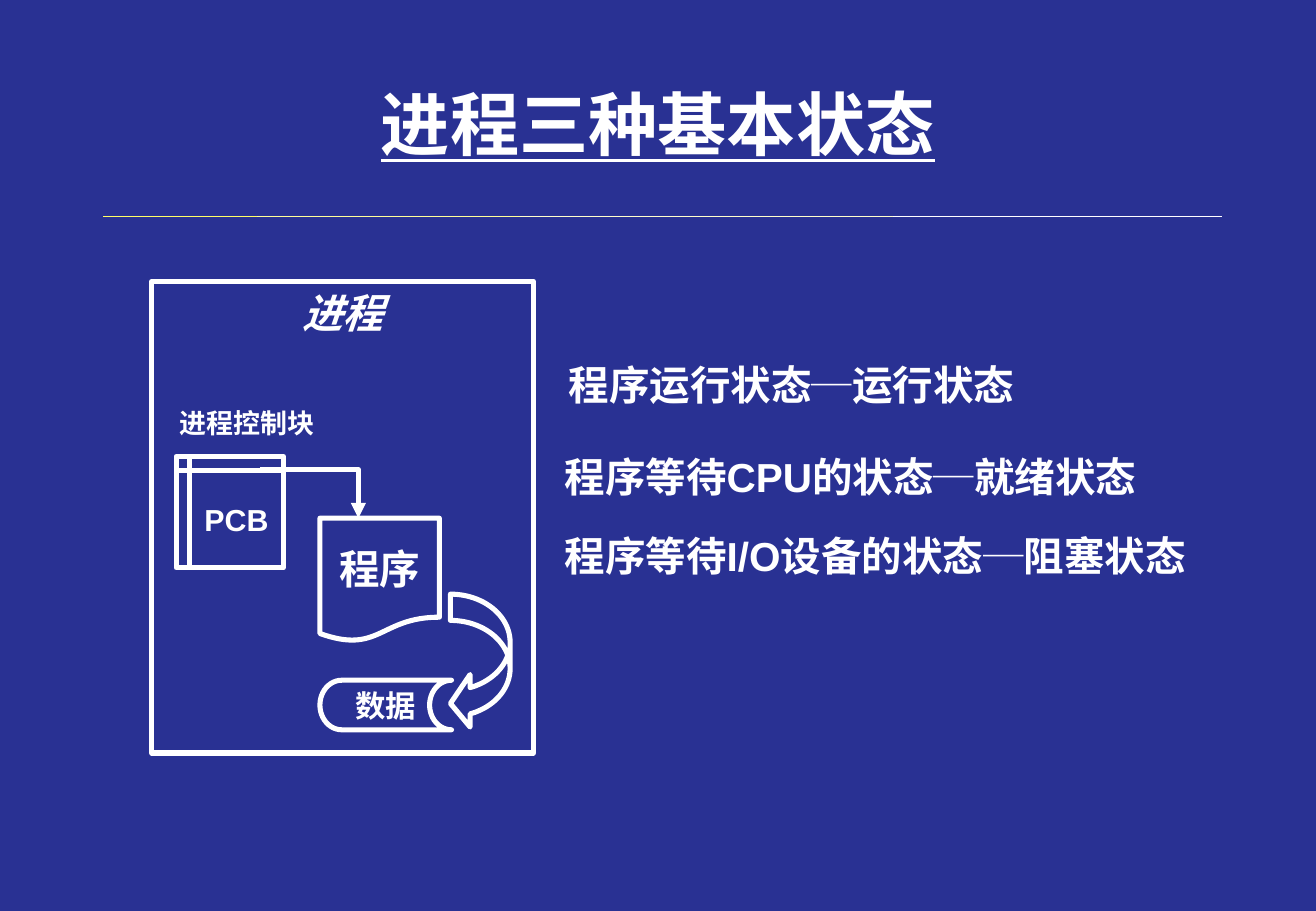
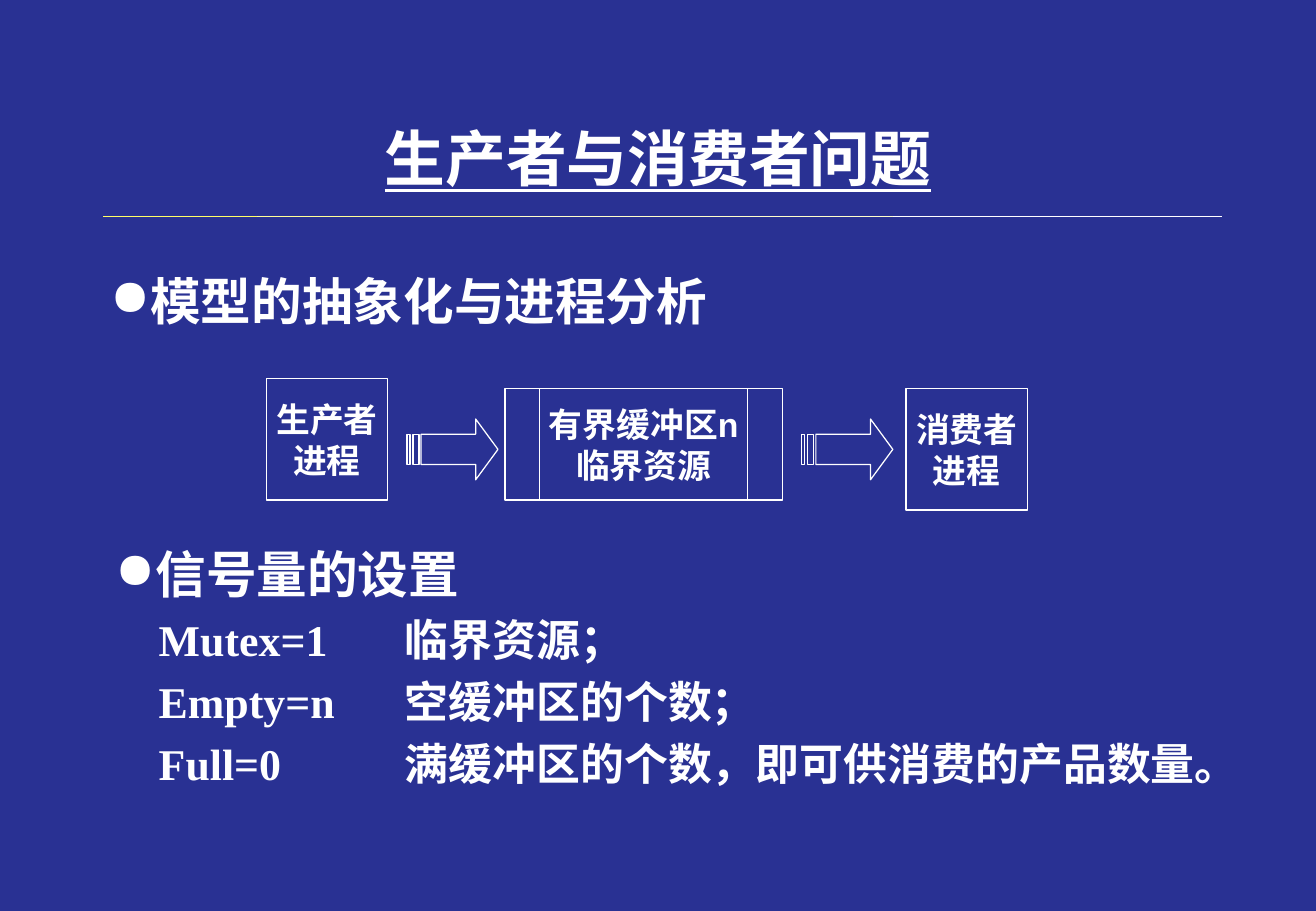
from lxml import etree
from pptx import Presentation
from pptx.dml.color import RGBColor
from pptx.enum.shapes import MSO_CONNECTOR, MSO_SHAPE as SHAPE
from pptx.enum.text import MSO_ANCHOR as ANCHOR, MSO_AUTO_SIZE, PP_ALIGN as ALIGN
from pptx.oxml.ns import qn
from pptx.util import Emu, Inches, Pt

COLORS = {
    "background": "293193",
    "white": "FFFFFF",
    "cream": "FFFFCC",
    "pale": "FFFF99",
    "yellow": "FFFF66",
}
RGB = {name: RGBColor.from_string(value) for name, value in COLORS.items()}
TITLE_FONT = "Noto Sans CJK JP"
COLUMNS, ROWS = 130, 90

presentation = Presentation()
presentation.slide_width = Inches(10.83)
presentation.slide_height = Inches(7.5)
column = presentation.slide_width / COLUMNS
row = presentation.slide_height / ROWS


def grid(*values):
    return [Emu(round(value * (row if index % 2 else column))) for index, value in enumerate(values)]


def add_block(slide, kind, frame, lines=(), size=24, line_width=3, anchor=ANCHOR.MIDDLE,
              align=ALIGN.CENTER, font="Arial", spacing=1.21, before=0):
    if kind is None:
        shape = slide.shapes.add_textbox(*grid(*frame))
    else:
        shape = slide.shapes.add_shape(kind, *grid(*frame))
        shape.shadow.inherit = False
        shape.fill.background()
        shape.line.color.rgb = RGB["white"]
        shape.line.width = Pt(line_width)
    text_frame = shape.text_frame
    text_frame.word_wrap = kind is None
    text_frame.vertical_anchor = anchor
    text_frame.text = "\n".join(lines)
    for index, paragraph in enumerate(text_frame.paragraphs):
        paragraph.alignment = align
        paragraph.line_spacing = Pt(round(size * spacing, 1))
        paragraph.space_before = Pt(size * before if index else 0)
        paragraph.font.name = font
        paragraph.font.size = Pt(size)
        paragraph.font.bold = True
        paragraph.font.color.rgb = RGB["white"]
    return shape


presentation.slide_master.background.fill.solid()
presentation.slide_master.background.fill.fore_color.rgb = RGB["background"]
layout = presentation.slide_layouts[5]

slides = []
for title, size, frame in [
    ("进程三种基本状态", 41, (9.7, 6.6, 110.6, 11)),
    ("生产者与消费者问题", 36, (9.7, 8, 110.6, 15)),
]:
    slide = presentation.slides.add_slide(layout)
    placeholder = slide.shapes.title
    placeholder.left, placeholder.top, placeholder.width, placeholder.height = grid(*frame)
    text_frame = placeholder.text_frame
    text_frame.text = title
    text_frame.auto_size = MSO_AUTO_SIZE.NONE
    text_frame.vertical_anchor = ANCHOR.MIDDLE
    paragraph = text_frame.paragraphs[0]
    paragraph.alignment = ALIGN.CENTER
    run = paragraph.runs[0]
    run.font.name = TITLE_FONT
    run.font.size = Pt(size)
    run.font.bold = run.font.underline = True
    run.font.color.rgb = RGB["white"]
    etree.SubElement(run.font._element, qn("a:ea"), typeface=TITLE_FONT)
    slides.append(slide)
states_slide, buffer_slide = slides

rule_segments = [(114.2, 6.5, "white")]
for index, color in enumerate(["white", "white", "cream", "cream", "cream"]):
    rule_segments.append((101.2 - 13 * index, 13, color))
for index, color in enumerate(["pale", "pale", "pale", "pale", "yellow"]):
    rule_segments.append((40.6 - 6.5 * index, 10.8, color))
rule_segments.append((10.2, 8.7, "yellow"))
for left, width, color in rule_segments:
    segment = states_slide.shapes.add_connector(
        MSO_CONNECTOR.STRAIGHT, *grid(left, 21.4, left + width, 21.4))
    segment.line.color.rgb = RGB[color]
    segment.line.width = Pt(0.75)
    etree.SubElement(segment.element.spPr, qn("a:effectLst"))
    layout.shapes.element.append(segment.element)

for kind, frame, text, size in [
    (SHAPE.FLOWCHART_DOCUMENT, (31.6, 51.2, 11.8, 12.2), "程序", 24),
    (SHAPE.FLOWCHART_INTERNAL_STORAGE, (17.4, 45.1, 10.6, 11), "PCB", 18),
    (SHAPE.FLOWCHART_STORED_DATA, (31.6, 67.2, 13, 4.9), "数据", 18),
]:
    add_block(states_slide, kind, frame, [text], size)

label = add_block(states_slide, None, (16.2, 40.1, 16.4, 3.2), ["进程控制块"], 16, anchor=ANCHOR.TOP)
label_frame = label.text_frame
label_frame.margin_left = label_frame.margin_right = label_frame.margin_top = label_frame.margin_bottom = 0

builder = states_slide.shapes.build_freeform(*grid(25.7, 46.4))
builder.add_line_segments([grid(35.4, 46.4), grid(35.4, 51.2)], close=False)
pointer = builder.convert_to_shape()
pointer.shadow.inherit = False
pointer.fill.background()
pointer.line.color.rgb = RGB["white"]
pointer.line.width = Pt(3)
etree.SubElement(pointer.line._get_or_add_ln(), qn("a:tailEnd"), type="triangle")

curved_arrow = add_block(states_slide, SHAPE.CURVED_LEFT_ARROW, (44.5, 58.7, 5.9, 13.4))
for index, value in enumerate([0.44, 0.88, 0.33]):
    curved_arrow.adjustments[index] = value

process = add_block(states_slide, SHAPE.RECTANGLE, (15, 27.8, 37.7, 46.6), ["进程"], anchor=ANCHOR.TOP)
process.text_frame.paragraphs[0].font.italic = True

add_block(states_slide, None, (55, 32.6, 53.6, 18), ["程序运行状态─运行状态"],
          anchor=ANCHOR.TOP, align=ALIGN.LEFT, spacing=1.8)
add_block(states_slide, None, (54.6, 43.1, 66.7, 15.1),
          ["程序等待CPU的状态─就绪状态", "程序等待I/O设备的状态─阻塞状态"],
          anchor=ANCHOR.TOP, align=ALIGN.LEFT, spacing=1.45, before=0.5)

for kind, frame, lines in [
    (SHAPE.RECTANGLE, (26.3, 37.4, 12, 12), ["生产者", "进程"]),
    (SHAPE.FLOWCHART_PREDEFINED_PROCESS, (49.9, 38.4, 27.4, 11), ["有界缓冲区n", "临界资源"]),
    (SHAPE.RECTANGLE, (89.5, 38.4, 12, 12), ["消费者", "进程"]),
]:
    add_block(buffer_slide, kind, frame, lines, 20, line_width=0.75)

arrow_outlines = [
    [(6.8, 0), (6.8, 1.5), (1.4, 1.5), (1.4, 4.5), (6.8, 4.5), (6.8, 6), (9, 3)],
    [(0.6, 1.5), (0.6, 4.5), (1.2, 4.5), (1.2, 1.5)],
    [(0, 1.5), (0, 4.5), (0.3, 4.5), (0.3, 1.5)],
]
for left in (40.2, 79.2):
    outlines = [[grid(left + x, 41.4 + y) for x, y in outline] for outline in arrow_outlines]
    builder = buffer_slide.shapes.build_freeform(*outlines[0][0])
    for index, (start, *points) in enumerate(outlines):
        if index:
            builder.move_to(*start)
        builder.add_line_segments(points, close=True)
    arrow = builder.convert_to_shape()
    arrow.shadow.inherit = False
    arrow.fill.background()
    arrow.line.color.rgb = RGB["white"]
    arrow.line.width = Pt(0.75)

model = add_block(buffer_slide, None, (9.7, 26, 110.6, 8), ["模型的抽象化与进程分析"], 30,
                  anchor=ANCHOR.TOP, align=ALIGN.LEFT)
semaphores = add_block(
    buffer_slide, None, (10.2, 53, 114.4, 26),
    ["信号量的设置", "\tMutex=1\t临界资源；", "\tEmpty=n\t空缓冲区的个数；",
     "\tFull=0\t满缓冲区的个数，即可供消费的产品数量。"],
    26, anchor=ANCHOR.TOP, align=ALIGN.LEFT, font="Times New Roman", before=0.2)
heading, *settings = semaphores.text_frame.paragraphs
heading.font.size = Pt(30)
heading.line_spacing = Pt(36.3)

for paragraph in (model.text_frame.paragraphs[0], heading):
    properties = paragraph._p.get_or_add_pPr()
    properties.set("marL", "0")
    properties.set("indent", "0")
    bullet = etree.Element(qn("a:buChar"), char="●")
    properties.find(qn("a:defRPr")).addprevious(bullet)

for paragraph in settings:
    properties = paragraph._p.get_or_add_pPr()
    tabs = etree.Element(qn("a:tabLst"))
    for position in (4.3, 28.6):
        etree.SubElement(tabs, qn("a:tab"), pos=str(grid(position)[0]), algn="l")
    properties.find(qn("a:defRPr")).addprevious(tabs)

presentation.save("out.pptx")
